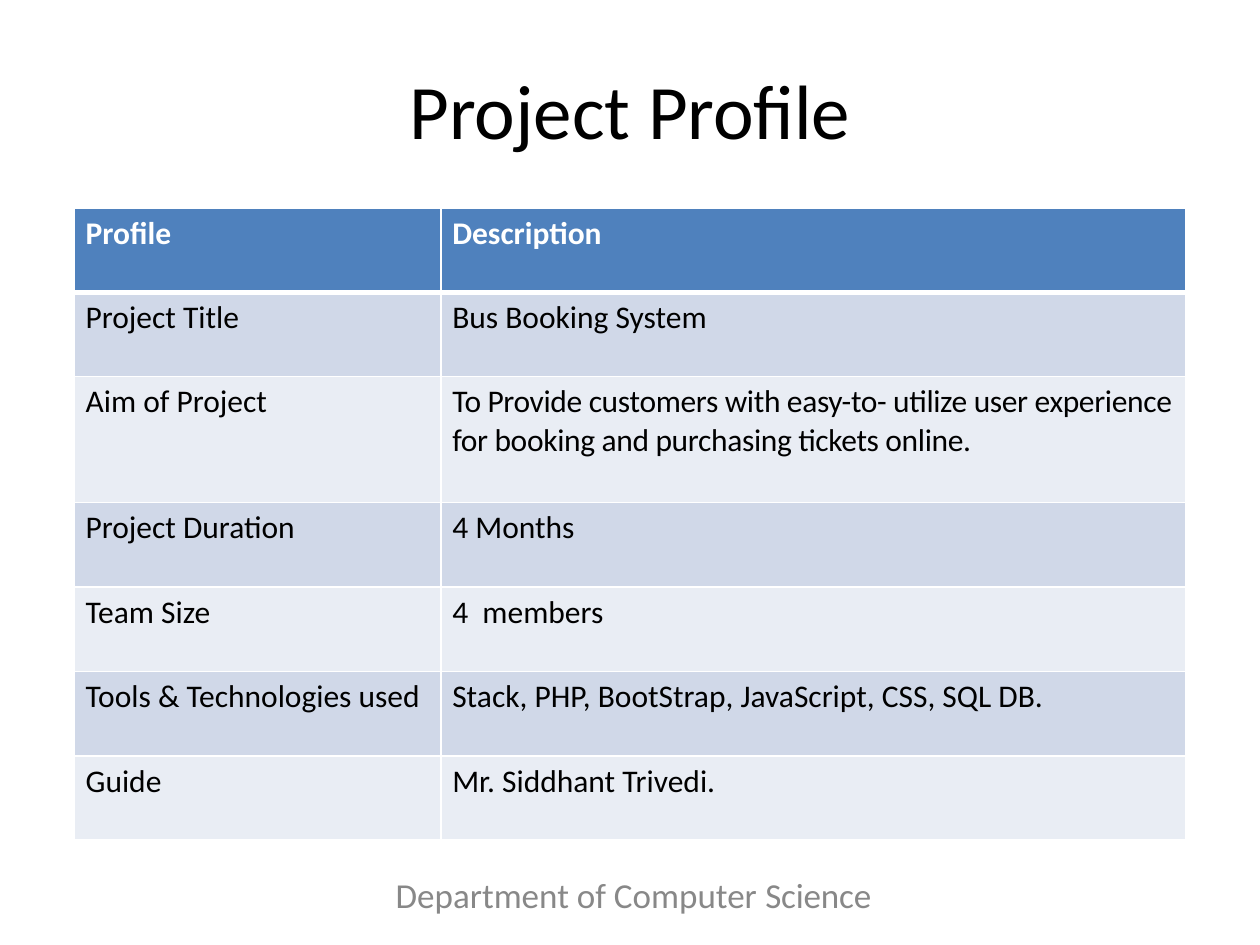
from lxml import etree
from pptx import Presentation
from pptx import util as u
from pptx.dml.color import RGBColor
from pptx.enum import text
from pptx.oxml.ns import qn

BLACK = RGBColor(0x00, 0x00, 0x00)
WHITE = RGBColor(0xFF, 0xFF, 0xFF)
GREY = RGBColor(0x88, 0x88, 0x88)
HEADER = RGBColor(0x4F, 0x81, 0xBD)
BANDS = [RGBColor(0xE9, 0xED, 0xF4), RGBColor(0xD0, 0xD8, 0xE8)]

W, H = 10, 7.5
ROW = 0.67
COLS = [2.91, 5.91]
AIM = 2  # the row with two lines of text

PROFILE = [
    ("Profile", "Description"),
    ("Project Title", "Bus Booking System"),
    ("Aim of Project", "To Provide customers with easy-to- utilize user "
     "experience for booking and purchasing tickets online."),
    ("Project Duration", "4 Months"),
    ("Team Size", "4  members"),
    ("Tools & Technologies used",
     "Stack, PHP, BootStrap, JavaScript, CSS, SQL DB."),
    ("Guide", "Mr. Siddhant Trivedi."),
]


def add_run(p, words, size, color, bold=False, spacing=0):
    r = p.add_run()
    r.text = words
    for name, value in dict(name="Calibri", size=u.Pt(size), bold=bold).items():
        setattr(r.font, name, value)
    r.font.color.rgb = color
    if spacing:
        r.font._element.set("spc", str(round(spacing * 100)))


def add_line(s, box, parts, size, color, **paragraph):
    """One line of text; the last part is set slightly tighter."""
    tf = s.shapes.add_textbox(*map(u.Inches, box)).text_frame
    frame = dict(margin_left=0, margin_top=0, margin_right=0, margin_bottom=0,
                 word_wrap=True, vertical_anchor=text.MSO_ANCHOR.TOP)
    for name, value in frame.items():
        setattr(tf, name, value)
    p = tf.paragraphs[0]
    for name, value in paragraph.items():
        setattr(p, name, value)
    first, last = parts
    add_run(p, first, size, color)
    add_run(p, last, size, color, spacing=-0.1)


def set_borders(cell, bottom):
    pr = cell._tc.get_or_add_tcPr()
    widths = dict(lnL=1, lnR=1, lnT=1, lnB=bottom)
    for i, (side, width) in enumerate(widths.items()):
        ln = etree.Element(qn("a:" + side), w=str(u.Pt(width)))
        fill = etree.SubElement(ln, qn("a:solidFill"))
        etree.SubElement(fill, qn("a:srgbClr"), val=str(WHITE))
        pr.insert(i, ln)


def add_profile_table(s, left, top):
    heights = [1 if i == AIM else ROW for i in range(len(PROFILE))]
    box = map(u.Inches, (left, top, sum(COLS), sum(heights)))
    table = s.shapes.add_table(len(PROFILE), len(COLS), *box).table
    for column, width in zip(table.columns, COLS):
        column.width = u.Inches(width)
    for i, (row, words) in enumerate(zip(table.rows, PROFILE)):
        row.height = u.Inches(heights[i])
        head = i == 0
        for j, cell in enumerate(row.cells):
            cell.margin_left = cell.margin_right = u.Inches(0.09)
            cell.fill.solid()
            cell.fill.fore_color.rgb = HEADER if head else BANDS[i % 2]
            # The heavy rule under the header is shared with the next row
            set_borders(cell, bottom=3 if head else 1)
            if i == 1:
                cell._tc.tcPr.find(qn("a:lnT")).set("w", str(u.Pt(3)))
            add_run(cell.text_frame.paragraphs[0], words[j], 18,
                    WHITE if head else BLACK, bold=head,
                    spacing=-0.2 if (i, j) == (AIM, 1) else 0)


def main():
    prs = Presentation()
    prs.slide_width, prs.slide_height = u.Inches(W), u.Inches(H)
    s = prs.slides.add_slide(prs.slide_layouts[6])

    # Title
    add_line(s, (2.94, 0.5, 4.12, 0.76), ("Project ", "Profile"), 44, BLACK,
             alignment=text.PP_ALIGN.CENTER, space_before=u.Pt(1.1))
    # Project details
    add_profile_table(s, 0.59, 1.65)
    # Footer
    add_line(s, (3.14, 6.99, 3.81, 0.31),
             ("Department of Computer ", "Science"), 20, GREY,
             line_spacing=u.Pt(20.1))

    prs.save("out.pptx")


if __name__ == "__main__":
    main()
